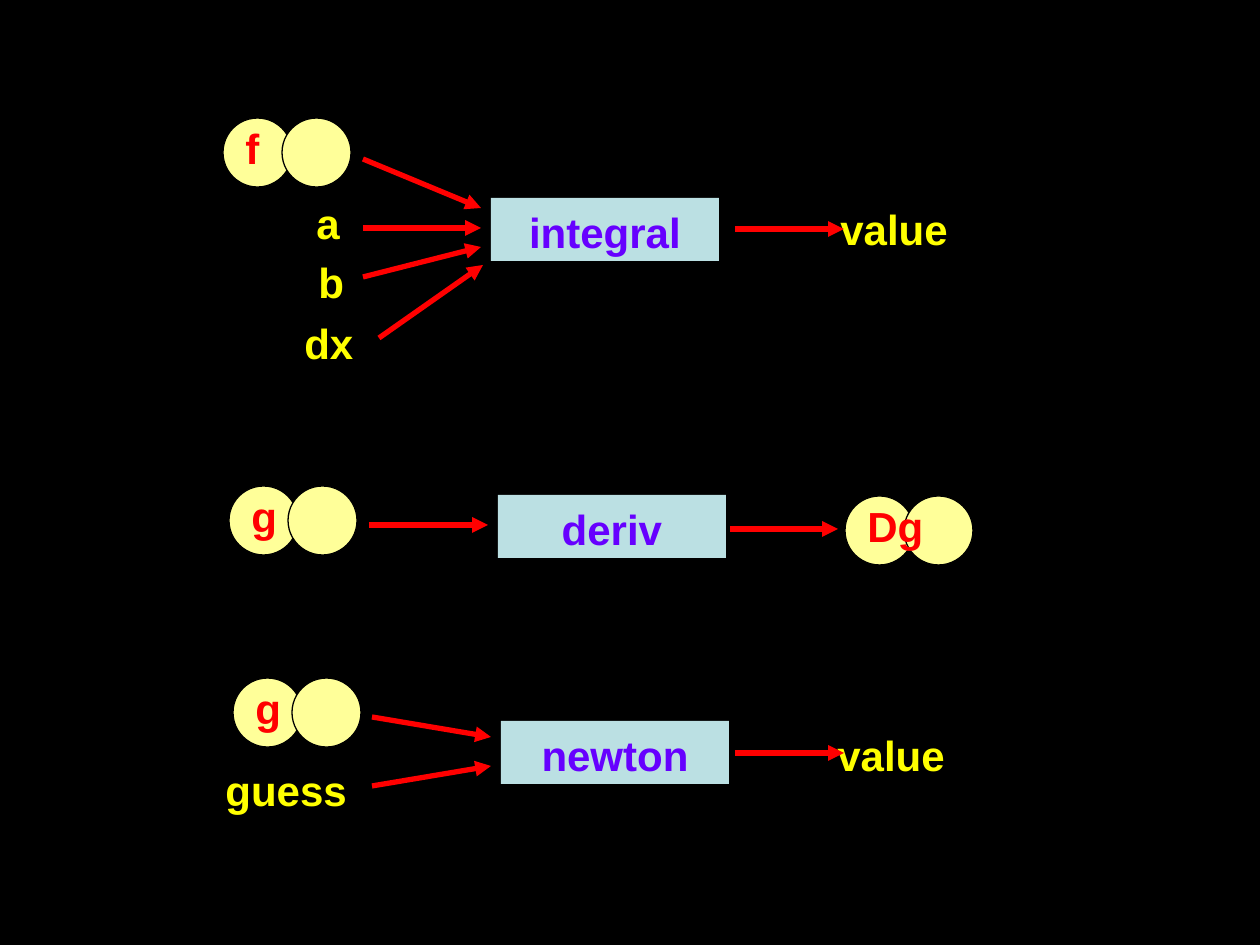
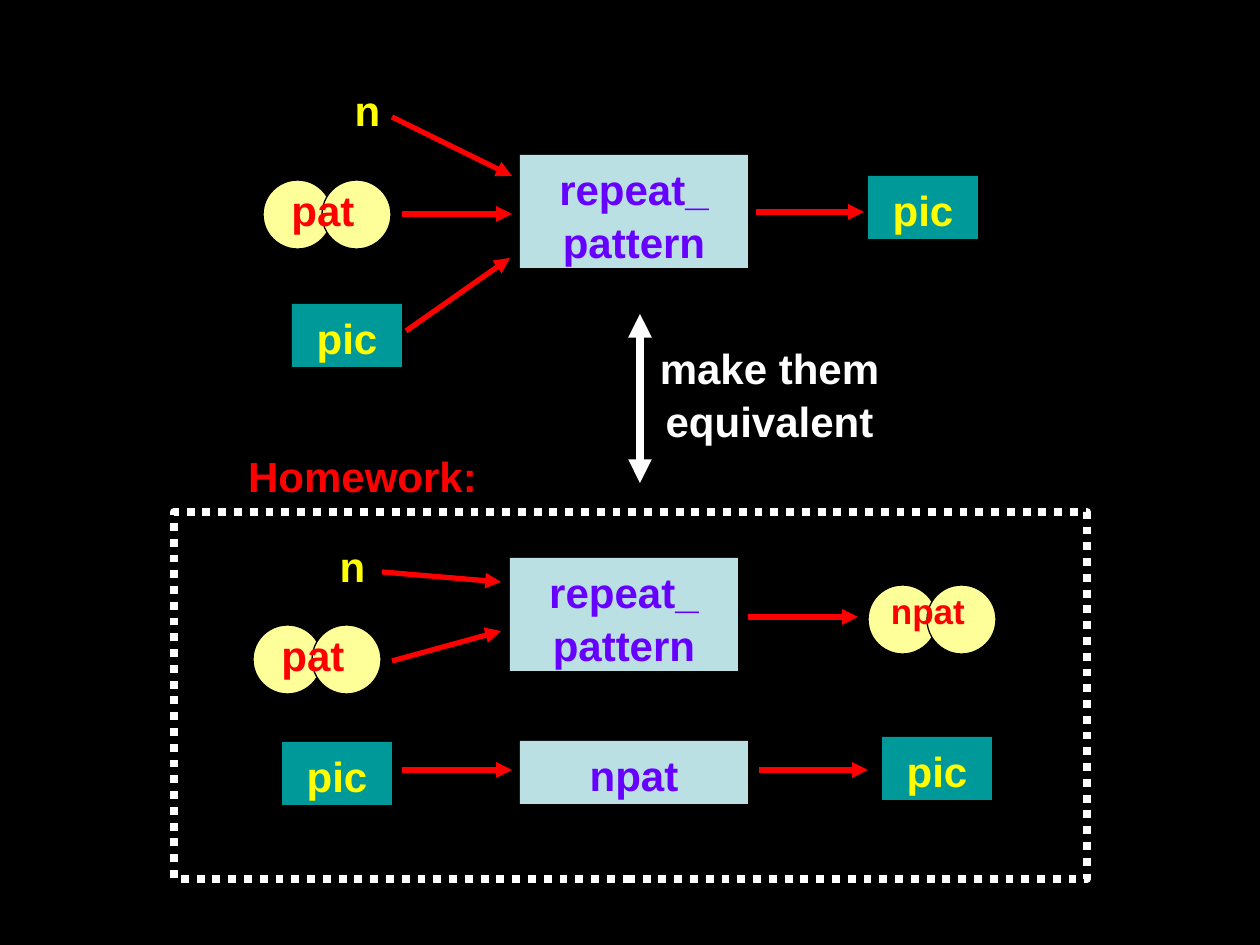
import pptx
import pptx.dml.color
import pptx.enum.dml
import pptx.enum.shapes
import pptx.enum.text
import pptx.oxml
import pptx.oxml.ns
import pptx.util

PX = 914400 / 126
BLACK, WHITE, RED, YELLOW = "000000", "FFFFFF", "FF0000", "FFFF00"
CREAM, PALE_BLUE, PURPLE, TEAL = "FFFF99", "BBE0E3", "6600FF", "009999"

MACHINE_W, PICTURE_W, ROW_H = 228, 110, 63
CIRCLE, CIRCLE_STEP = 69, 59

SHAPES = pptx.enum.shapes.MSO_SHAPE
LEFT = pptx.enum.text.PP_ALIGN.LEFT
CENTER = pptx.enum.text.PP_ALIGN.CENTER


def px(*lengths):
    return [round(n * PX) for n in lengths]


def rgb(value):
    return pptx.dml.color.RGBColor.from_string(value)


def set_all(target, **values):
    for name, value in values.items():
        setattr(target, name, value)


def write(sp, text, color, align=CENTER, size=24):
    tf = sp.text_frame
    set_all(tf, word_wrap=True,
            auto_size=pptx.enum.text.MSO_AUTO_SIZE.SHAPE_TO_FIT_TEXT,
            vertical_anchor=pptx.enum.text.MSO_ANCHOR.TOP)
    p = tf.paragraphs[0]
    p.text = text
    set_all(p, alignment=align, line_spacing=1.05,
            space_before=pptx.util.Pt(size * 0.625))
    for r in p.runs:
        set_all(r.font, name="Arial", size=pptx.util.Pt(size), bold=True)
        r.font.color.rgb = rgb(color)


def add_label(s, x, y, w, text, color=YELLOW, align=CENTER, size=24, h=ROW_H):
    sp = s.shapes.add_textbox(*px(x, y, w, h))
    write(sp, text, color, align, size)


def add_shape(s, kind, x, y, w, h, fill=None, line=None, weight=0.75):
    sp = s.shapes.add_shape(kind, *px(x, y, w, h))
    sp.shadow.inherit = False
    for part, color in ((sp.fill, fill), (sp.line.fill, line)):
        if color:
            part.solid()
            part.fore_color.rgb = rgb(color)
        else:
            part.background()
    if line:
        sp.line.width = pptx.util.Pt(weight)
    return sp


def add_arrow(s, x1, y1, x2, y2, color=RED, weight=3, ends=("tailEnd",)):
    c = s.shapes.add_connector(pptx.enum.shapes.MSO_CONNECTOR.STRAIGHT,
                               *px(x1, y1, x2, y2))
    c.line.color.rgb = rgb(color)
    c.line.width = pptx.util.Pt(weight)
    ln = c.line._get_or_add_ln()
    for end in ends:
        pptx.oxml.ns.qn("a:" + end)
        ln.append(pptx.oxml.parse_xml(
            f'<a:{end} {pptx.oxml.ns.nsdecls("a")} type="triangle"/>'))
    c._element.spPr.append(pptx.oxml.parse_xml(
        f'<a:effectLst {pptx.oxml.ns.nsdecls("a")}/>'))


def add_function(s, x, y, name, align, size=24):
    """Two overlapping circles stand for a function value."""
    for i in range(2):
        add_shape(s, SHAPES.OVAL, x + i * CIRCLE_STEP, y, CIRCLE, CIRCLE,
                  CREAM, BLACK)
    add_label(s, x + 10, y - 4, 100, name, RED, align, size)


def add_picture_box(s, x, y, text):
    sp = add_shape(s, SHAPES.RECTANGLE, x, y, PICTURE_W, ROW_H, TEAL)
    write(sp, text, YELLOW)


def add_flow(s, x, y, name, arrows, functions=(), labels=(), pictures=(),
             align=CENTER, h=ROW_H):
    """A machine box at x, y; inputs and outputs are placed relative to it."""
    machine = add_shape(s, SHAPES.RECTANGLE, x, y, MACHINE_W, h, PALE_BLUE)
    write(machine, name, PURPLE)
    for dx, dy, *style in functions:
        text, *size = style
        add_function(s, x + dx, y + dy, text, align, *size)
    for dx, dy, w, text in labels:
        add_label(s, x + dx, y + dy, w, text, align=align)
    for dx, dy, text in pictures:
        add_picture_box(s, x + dx, y + dy, text)
    for x1, y1, x2, y2 in arrows:
        add_arrow(s, x + x1, y + y1, x + x2, y + y2)


def add_homework(s, x, y, w, h):
    # Dotted frame with its heading
    frame = add_shape(s, SHAPES.RECTANGLE, x, y, w, h, line=WHITE, weight=4.5)
    frame.line.dash_style = pptx.enum.dml.MSO_LINE.ROUND_DOT
    add_label(s, x - 20, y - 70, 417, "Homework:", RED)
    # Link to the diagram above
    add_arrow(s, x + 466, y - 198, x + 466, y - 29, WHITE, 4.5,
              ("headEnd", "tailEnd"))
    add_label(s, x + 417, y - 178, 357, "make them equivalent", WHITE, h=113)
    # Making the function, then using it
    add_flow(s, x + 336, y + 46, "repeat_\npattern", h=113,
             labels=[(-187, -26, 59, "n")],
             functions=[(-257, 67, "pat"), (358, 27, "npat", 20)],
             arrows=[(-128, 14, -9, 24), (-118, 103, -9, 73),
                     (238, 59, 348, 59)])
    add_flow(s, x + 346, y + 229, "npat",
             pictures=[(-238, 1, "pic"), (362, -4, "pic")],
             arrows=[(-118, 29, -8, 29), (239, 29, 348, 29)])


def add_slide(prs):
    s = prs.slides.add_slide(prs.slide_layouts[6])
    s.background.fill.solid()
    s.background.fill.fore_color.rgb = rgb(BLACK)
    return s


def build_calculus(prs):
    s = add_slide(prs)
    add_flow(s, 491, 198, "integral", align=LEFT,
             functions=[(-268, -80, "f")],
             labels=[(-187, -9, 59, "a"), (-185, 50, 59, "b"),
                     (-199, 111, 89, "dx"), (337, -3, 159, "value")],
             arrows=[(-128, -39, -10, 10), (-128, 30, -10, 30),
                     (-128, 79, -10, 49), (-112, 140, -8, 67),
                     (244, 31, 353, 31)])
    add_flow(s, 498, 495, "deriv", align=LEFT,
             functions=[(-269, -9, "g"), (347, 1, "Dg")],
             arrows=[(-129, 30, -10, 30), (232, 34, 340, 34)])
    add_flow(s, 501, 721, "newton", align=LEFT,
             functions=[(-268, -43, "g")],
             labels=[(-288, 35, 180, "guess"), (324, 0, 159, "value")],
             arrows=[(-129, -4, -10, 16), (-129, 65, -10, 45),
                     (234, 32, 343, 32)])


def build_patterns(prs):
    s = add_slide(prs)
    add_flow(s, 520, 155, "repeat_\npattern", h=113,
             labels=[(-182, -79, 59, "n")],
             functions=[(-257, 25, "pat")],
             pictures=[(-228, 149, "pic"), (348, 21, "pic")],
             arrows=[(-128, -38, -8, 21), (-118, 59, -8, 59),
                     (-114, 176, -10, 103), (236, 57, 344, 57)])
    add_homework(s, 174, 512, 913, 367)


def main():
    prs = pptx.Presentation()
    prs.slide_width, prs.slide_height = px(1260, 945)
    build_calculus(prs)
    build_patterns(prs)
    prs.save("out.pptx")


if __name__ == "__main__":
    main()
